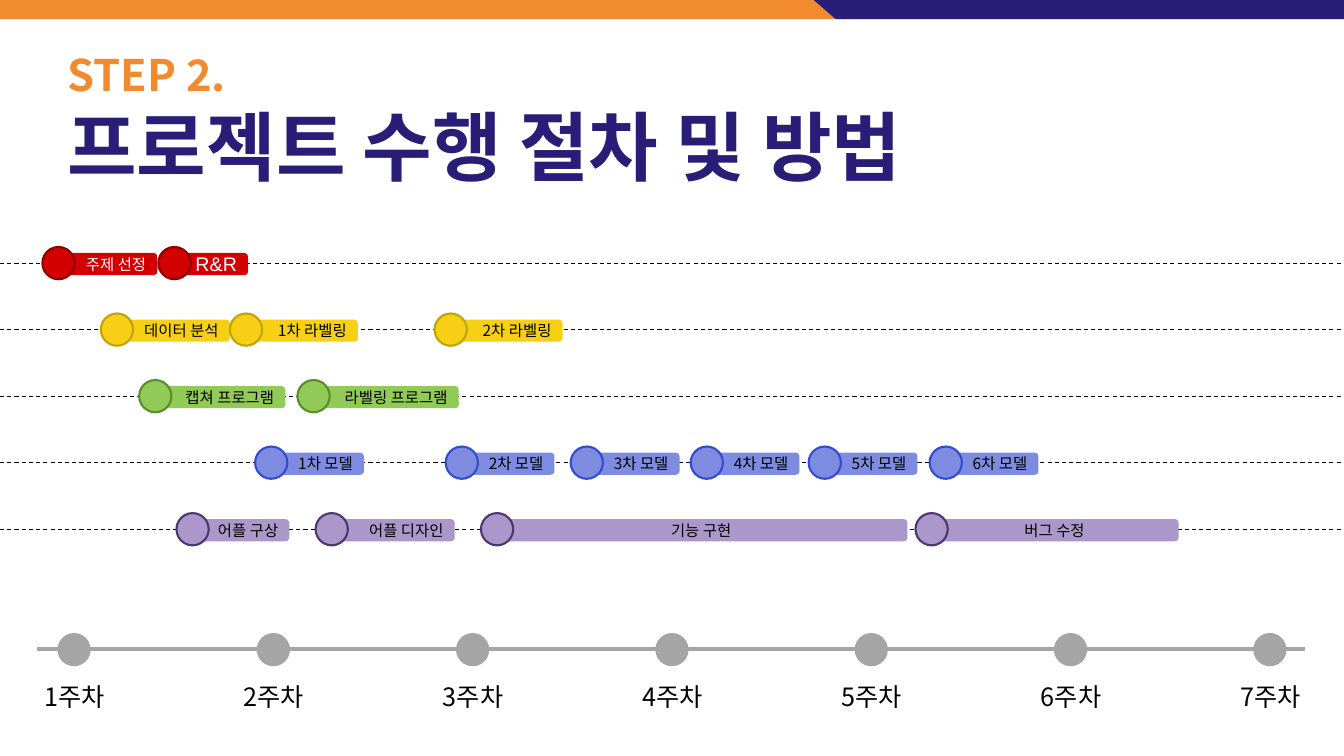
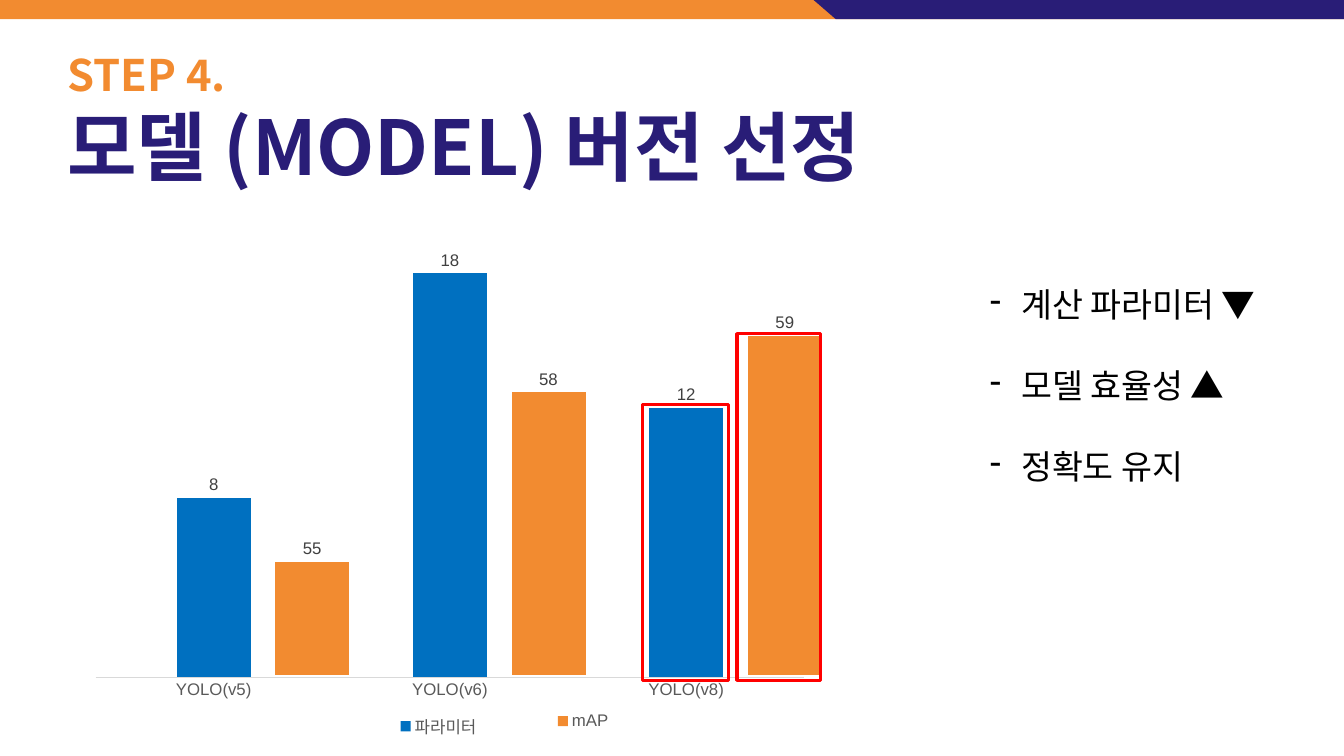
from lxml import etree
from pptx import Presentation
from pptx.chart.data import CategoryChartData
from pptx.dml.color import RGBColor
from pptx.enum.chart import XL_CHART_TYPE, XL_LABEL_POSITION, XL_LEGEND_POSITION
from pptx.enum.chart import XL_TICK_LABEL_POSITION, XL_TICK_MARK
from pptx.enum.dml import MSO_LINE
from pptx.enum.shapes import MSO_CONNECTOR, MSO_SHAPE
from pptx.enum.text import MSO_ANCHOR, PP_ALIGN
from pptx.oxml.ns import qn
from pptx.util import Inches, Pt

RECT, ROUND, OVAL = MSO_SHAPE.RECTANGLE, MSO_SHAPE.ROUNDED_RECTANGLE, MSO_SHAPE.OVAL
LEFT, MID, RIGHT = PP_ALIGN.LEFT, PP_ALIGN.CENTER, PP_ALIGN.RIGHT
TOP, CENTER, BASE = MSO_ANCHOR.TOP, MSO_ANCHOR.MIDDLE, MSO_ANCHOR.BOTTOM
DASH, STRAIGHT = MSO_LINE.DASH, MSO_CONNECTOR.STRAIGHT
COLUMN = XL_CHART_TYPE.COLUMN_CLUSTERED
BELOW, ABOVE = XL_LEGEND_POSITION.BOTTOM, XL_LABEL_POSITION.OUTSIDE_END
NO_TICK, NO_LABEL = XL_TICK_MARK.NONE, XL_TICK_LABEL_POSITION.NONE

WIDE, HIGH = 13.33, 7.5
ORANGE, NAVY, BLACK, WHITE = "F28B30", "291D77", "000000", "FFFFFF"
GREY, BLUE, RED = "A5A5A5", "0070C0", "FF0000"
KOREAN, LATIN = "Noto Sans CJK KR", "Arial"

# Timeline grid: one row per kind of task, one column per week
ROW_TOP, ROW_GAP = 2.61, 0.66
WEEK_LEFT, WEEK_END, WEEK_ROW = 0.74, 12.6, 6.44
WEEK_GAP = (WEEK_END - WEEK_LEFT) / 6
BAR, DOT = 0.22, 0.32

# Row: fill, edge, text colour, tasks (dot left, bar left, bar width, label)
TASKS = [
    ("D20000", "900000", WHITE, [
        (0.42, 0.59, 0.97, "주제 선정"), (1.57, 1.74, 0.72, "R&R")]),
    ("F7CF15", "C1A207", BLACK, [
        (1.0, 1.12, 1.16, "데이터 분석"), (2.28, 2.39, 1.16, "1차 라벨링"),
        (4.31, 4.42, 1.16, "2차 라벨링")]),
    ("91CA57", "5C8C2C", BLACK, [
        (1.38, 1.63, 1.2, "캡쳐 프로그램"), (2.95, 3.13, 1.42, "라벨링 프로그램")]),
    ("7D8BE0", "354BCF", BLACK, [
        (left, left + 0.11, 0.97, f"{num}차 모델") for num, left in
        enumerate((2.53, 4.42, 5.66, 6.85, 8.02, 9.22), 1)]),
    ("AB97C9", "4F366E", BLACK, [
        (1.75, 1.91, 0.96, "어플 구상"), (3.13, 3.27, 1.24, "어플 디자인"),
        (4.77, 4.91, 4.09, "기능 구현"), (9.08, 9.23, 2.46, "버그 수정")]),
]


def color(code):
    return RGBColor.from_string(code)


def paint(shape, fill=None, edge=None, width=1.5):
    shape.shadow.inherit = False
    if fill:
        shape.fill.solid()
        shape.fill.fore_color.rgb = color(fill)
    else:
        shape.fill.background()
    if edge:
        shape.line.color.rgb = color(edge)
        shape.line.width = Pt(width)
    else:
        shape.line.fill.background()


def block(slide, kind, left, top, wide, high, *look):
    shape = slide.shapes.add_shape(kind, *map(Inches, (left, top, wide, high)))
    paint(shape, *look)
    return shape


def rule(slide, left, right, row, code, width, dash=None):
    line = slide.shapes.add_connector(
        STRAIGHT, *map(Inches, (left, row, right, row)))
    line.line.color.rgb = color(code)
    line.line.width = Pt(width)
    if dash:
        line.line.dash_style = dash
    etree.SubElement(line._element.spPr, qn("a:effectLst"))


def write(para, text, size, code, face=KOREAN, bold=False):
    run = para.add_run()
    run.text = text
    run.font.size, run.font.bold, run.font.name = Pt(size), bold, face
    run.font.color.rgb = color(code)
    east = etree.SubElement(run._r.get_or_add_rPr(), qn("a:ea"))
    east.set("typeface", KOREAN)


def frame(shape, anchor, align):
    body = shape.text_frame
    body.word_wrap = True
    body.vertical_anchor = anchor
    body.paragraphs[0].alignment = align
    return body


def label(slide, left, top, wide, high, anchor=TOP, align=LEFT):
    box = slide.shapes.add_textbox(*map(Inches, (left, top, wide, high)))
    return frame(box, anchor, align)


# Shared band and title
def page(deck, step, title):
    slide = deck.slides.add_slide(deck.slide_layouts[6])
    para = label(slide, 0.57, 0.4, 10, 1.54, BASE).paragraphs[0]
    write(para, step, 31, ORANGE, bold=True)
    para.add_line_break()
    write(para, title, 54, NAVY, bold=True)
    block(slide, RECT, 0, 0, WIDE, 0.19, ORANGE)
    pen = slide.shapes.build_freeform(Inches(WIDE), Inches(0.19), 1)
    points = [(WIDE, 0), (8.07, 0), (8.29, 0.19)]
    pen.add_line_segments([(Inches(x), Inches(y)) for x, y in points])
    paint(pen.convert_to_shape(), NAVY)
    return slide


# Timeline parts
def task(slide, row, fill, edge, ink, left, start, wide, text):
    bar = block(slide, ROUND, start, row - BAR / 2 + 0.01, wide, BAR, fill)
    bar.adjustments[0] = 0.17
    para = frame(bar, CENTER, MID if wide > 2 else RIGHT).paragraphs[0]
    size, face = (14, LATIN) if text.isascii() else (11, KOREAN)
    write(para, text, size, ink, face)
    block(slide, OVAL, left, row - DOT / 2, DOT, DOT, fill, edge)


def weeks(slide):
    rule(slide, 0.37, 12.94, WEEK_ROW, GREY, 3)
    for num in range(7):
        mid = WEEK_LEFT + num * WEEK_GAP
        block(slide, OVAL, mid - 0.17, WEEK_ROW - 0.16, 0.33, 0.33, GREY)
        body = label(slide, mid - 0.48, 6.71, 0.96, 0.4, align=MID)
        write(body.paragraphs[0], f"{num + 1}주차", 18, BLACK)


# Chart parts
def style(font, size, code):
    font.size, font.name = Pt(size), LATIN
    font.color.rgb = color(code)


def manual(pairs):
    outer = etree.Element(qn("c:layout"))
    inner = etree.SubElement(outer, qn("c:manualLayout"))
    for key, val in pairs:
        etree.SubElement(inner, qn("c:" + key)).set("val", str(val))
    return outer


def layout(chart, share, spot):
    root = chart._chartSpace
    area = root.find(".//" + qn("c:plotArea"))
    for old in area.findall(qn("c:layout")):
        area.remove(old)
    modes = [("xMode", "edge"), ("yMode", "edge")]
    area.insert(0, manual(
        [("layoutTarget", "inner"), *modes, *zip("xywh", share)]))
    if spot:
        place = root.find(".//" + qn("c:legendPos"))
        place.addnext(manual([*modes, *zip("xy", spot)]))
    # Clear background
    back = etree.Element(qn("c:spPr"))
    etree.SubElement(back, qn("a:noFill"))
    etree.SubElement(etree.SubElement(back, qn("a:ln")), qn("a:noFill"))
    root.find(qn("c:chart")).addnext(back)


def columns(slide, place, share, spot, cats, name, vals, code, low, high, axis):
    data = CategoryChartData()
    data.categories = cats
    data.add_series(name, vals)
    chart = slide.shapes.add_chart(COLUMN, *map(Inches, place), data).chart
    style(chart.font, 10, BLACK)
    chart.has_title = False
    chart.has_legend = True
    chart.legend.position = BELOW
    chart.legend.include_in_layout = False
    style(chart.legend.font, 12, "595959")
    layout(chart, share, spot)
    # Axes
    side, foot = chart.value_axis, chart.category_axis
    side.minimum_scale, side.maximum_scale = low, high
    side.has_major_gridlines = False
    side.tick_label_position = NO_LABEL
    side.visible = False
    foot.visible = axis
    foot.major_tick_mark = NO_TICK
    foot.format.line.color.rgb = color("D9D9D9")
    foot.format.line.width = Pt(0.75)
    style(foot.tick_labels.font, 12, "595959")
    # Columns and their values
    plot = chart.plots[0]
    plot.gap_width, plot.vary_by_categories = 219, False
    fill = plot.series[0].format.fill
    fill.solid()
    fill.fore_color.rgb = color(code)
    plot.has_data_labels = True
    tags = plot.data_labels
    tags.show_value, tags.position = True, ABOVE
    style(tags.font, 12, "404040")


def bullets(body, lines):
    for num, text in enumerate(lines):
        para = body.add_paragraph() if num else body.paragraphs[0]
        props = para._p.get_or_add_pPr()
        props.set("marL", str(Inches(0.31)))
        props.set("indent", str(-Inches(0.31)))
        if num:
            para.space_before = Pt(29)
        etree.SubElement(props, qn("a:buChar")).set("char", "-")
        write(para, text, 24, BLACK, LATIN)


def plan(deck):
    slide = page(deck, "STEP 2.", "프로젝트 수행 절차 및 방법")
    weeks(slide)
    for num, (fill, edge, ink, items) in enumerate(TASKS):
        row = ROW_TOP + num * ROW_GAP
        rule(slide, 0, WIDE, row, BLACK, 0.75, DASH)
        for item in items:
            task(slide, row, fill, edge, ink, *item)


def model(deck):
    slide = page(deck, "STEP 4.", "모델 (MODEL) 버전 선정")
    columns(slide, (0.57, 1.94, 7.56, 5.43), (0.05, 0.06, 0.93, 0.82), None,
            ["YOLO(v5)", "YOLO(v6)", "YOLO(v8)"], "파라미터", (8, 18, 12),
            BLUE, 0, 20, True)
    columns(slide, (1.85, 2.77, 7.56, 4.73), (0.01, 0, 0.93, 0.83), (0.48, 0.9),
            ["1", "2", "3"], "mAP", (55, 58, 59), ORANGE, 53, 60, False)
    bullets(label(slide, 9.72, 2.77, 3.6, 2.12),
            ["계산 파라미터 ▼", "모델 효율성 ▲", "정확도 유지"])
    # Frames around the chosen version
    for left, top, wide in ((7.31, 3.31, 0.83), (6.37, 4.01, 0.86)):
        block(slide, RECT, left, top, wide, 6.75 - top, None, RED, 2.25)


def main():
    deck = Presentation()
    deck.slide_width, deck.slide_height = Inches(WIDE), Inches(HIGH)
    plan(deck)
    model(deck)
    deck.save("out.pptx")


if __name__ == "__main__":
    main()
